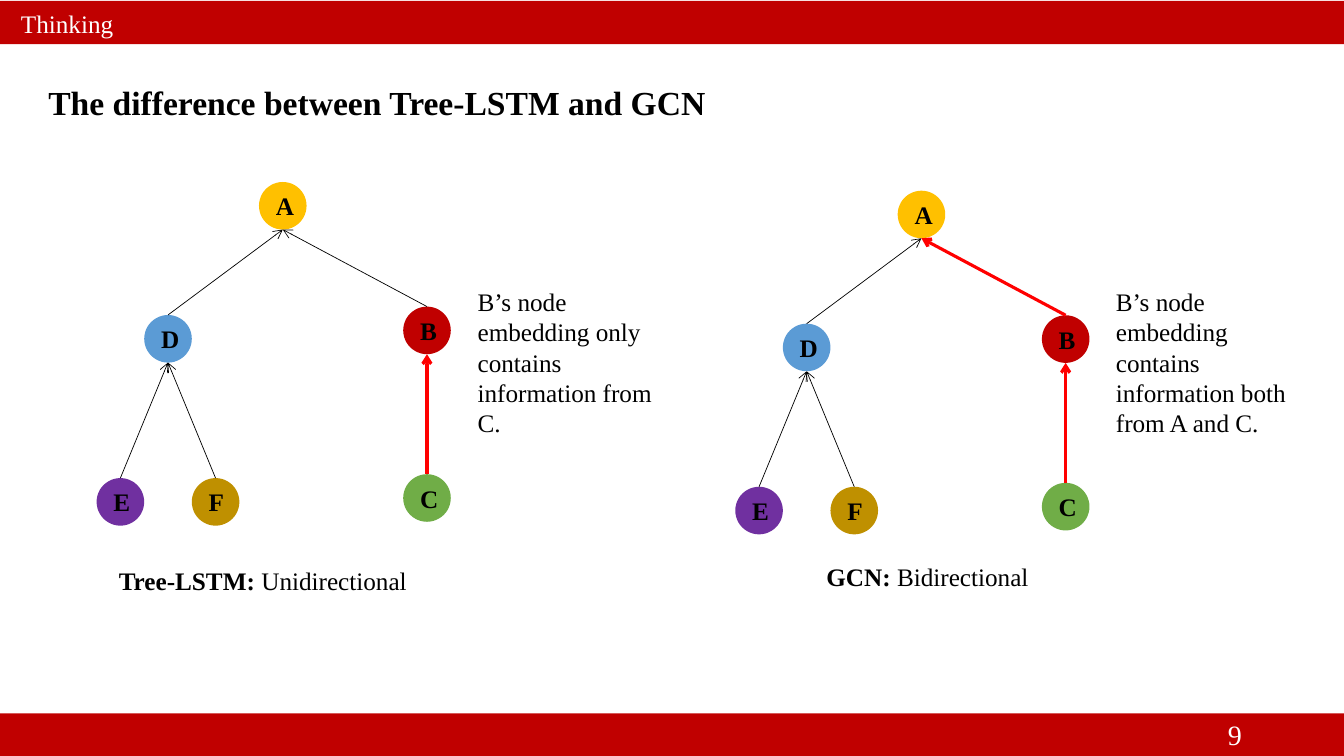
from lxml.etree import SubElement
from pptx import Presentation
from pptx.dml.color import RGBColor
from pptx.enum.shapes import MSO_CONNECTOR, MSO_SHAPE
from pptx.enum.text import MSO_ANCHOR, MSO_AUTO_SIZE, PP_ALIGN
from pptx.oxml.ns import qn
from pptx.util import Pt

RED, BLACK, WHITE = "C00000", "000000", "FFFFFF"
THIN, THICK = (BLACK, 0.5), ("FF0000", 2.25)
NODE_SIZE = 34

NODES = {
    "A": (116, 0, "FFC000"),
    "D": (34, 95, "5B9BD5"),
    "C": (219, 208.7, "70AD47"),
    "E": (0, 211.5, "7030A0"),
    "F": (68, 211.5, "BF9000"),
    "B": (219, 89, RED),
}
EDGES = ["DA", "BA", "CB", "ED", "FD"]


def color(value):
    return RGBColor.from_string(value)


class SlideBuilder:
    font = {"name": "Times New Roman", "size": Pt(18), "bold": False}

    def __init__(self, page):
        self.page = page

    def add_span(self, para, text, ink=BLACK, **changes):
        span = para.add_run()
        span.text = text
        for name, value in {**self.font, **changes}.items():
            setattr(span.font, name, value)
        span.font.color.rgb = color(ink)

    def shape(self, shapes, kind, left, top, width, height, fill):
        shape = shapes.add_shape(kind, Pt(left), Pt(top), Pt(width), Pt(height))
        shape.shadow.inherit = False
        shape.fill.solid()
        shape.fill.fore_color.rgb = color(fill)
        shape.line.fill.background()
        return shape

    def bar(self, top):
        self.shape(self.page.shapes, MSO_SHAPE.RECTANGLE, 0, top, 960, 31, RED)

    def text(self, left, top, width, height, spans, wrap=False, **layout):
        box = self.page.shapes.add_textbox(Pt(left), Pt(top), Pt(width), Pt(height))
        frame = box.text_frame
        settings = {"word_wrap": wrap, "auto_size": MSO_AUTO_SIZE.SHAPE_TO_FIT_TEXT}
        for name, value in {**settings, **layout}.items():
            setattr(frame, name, value)
        for text, changes in spans:
            self.add_span(frame.paragraphs[0], text, **changes)
        return frame.paragraphs[0]

    def node(self, shapes, letter, left, top, fill):
        circle = self.shape(shapes, MSO_SHAPE.OVAL, left, top, NODE_SIZE, NODE_SIZE, fill)
        circle.text_frame.vertical_anchor = MSO_ANCHOR.MIDDLE
        para = circle.text_frame.paragraphs[0]
        para.alignment = PP_ALIGN.CENTER
        self.add_span(para, letter, bold=True)

    def arrow(self, shapes, start, end, ink, weight):
        points = [Pt(value) for value in (*start, *end)]
        line = shapes.add_connector(MSO_CONNECTOR.STRAIGHT, *points)
        line.line.color.rgb = color(ink)
        line.line.width = Pt(weight)
        properties = line._element.spPr
        SubElement(properties.find(qn("a:ln")), qn("a:tailEnd"), type="arrow")
        SubElement(properties, qn("a:effectLst"))

    def tree(self, left, top, highlighted):
        shapes = self.page.shapes.add_group_shape().shapes
        for letter, (x, y, fill) in NODES.items():
            self.node(shapes, letter, left + x, top + y, fill)
        middle = left + NODE_SIZE / 2
        for child, parent in EDGES:
            child_x, child_y, _ = NODES[child]
            parent_x, parent_y, _ = NODES[parent]
            style = THICK if child + parent in highlighted else THIN
            start = middle + child_x, top + child_y
            end = middle + parent_x, top + parent_y + NODE_SIZE
            self.arrow(shapes, start, end, *style)


def main():
    deck = Presentation()
    deck.slide_width, deck.slide_height = Pt(960), Pt(540)
    slide = SlideBuilder(deck.slides.add_slide(deck.slide_layouts[6]))
    bold = {"bold": True}

    title = "The difference between Tree-LSTM and GCN"
    slide.text(27.4, 54.7, 489, 36, [(title, {"size": Pt(24), **bold})])
    slide.bar(0.6)
    slide.bar(509.6)
    slide.text(7.9, 2.2, 81, 29, [("Thinking", {"ink": WHITE})])

    slide.tree(69, 130, ["CB"])
    slide.text(77.8, 400.4, 227, 29, [("Tree-LSTM: ", bold), ("Unidirectional", {})])
    note = "B’s node embedding only contains information from C."
    slide.text(334.1, 201, 148, 117, [(note, {})], wrap=True)

    slide.tree(525.2, 136.2, ["CB", "BA"])
    slide.text(583.2, 397.5, 165, 29, [("GCN: ", bold), ("Bidirectional", {})])
    note = "B’s node embedding contains information both from A and C."
    slide.text(790, 201, 148, 117, [(note, {})], wrap=True)

    number = slide.text(678.2, 510, 216, 28.8, [("9", {"ink": WHITE, "size": Pt(20)})],
                        wrap=True, auto_size=MSO_AUTO_SIZE.NONE,
                        vertical_anchor=MSO_ANCHOR.MIDDLE)
    number.alignment = PP_ALIGN.RIGHT

    deck.save("out.pptx")


if __name__ == "__main__":
    main()
